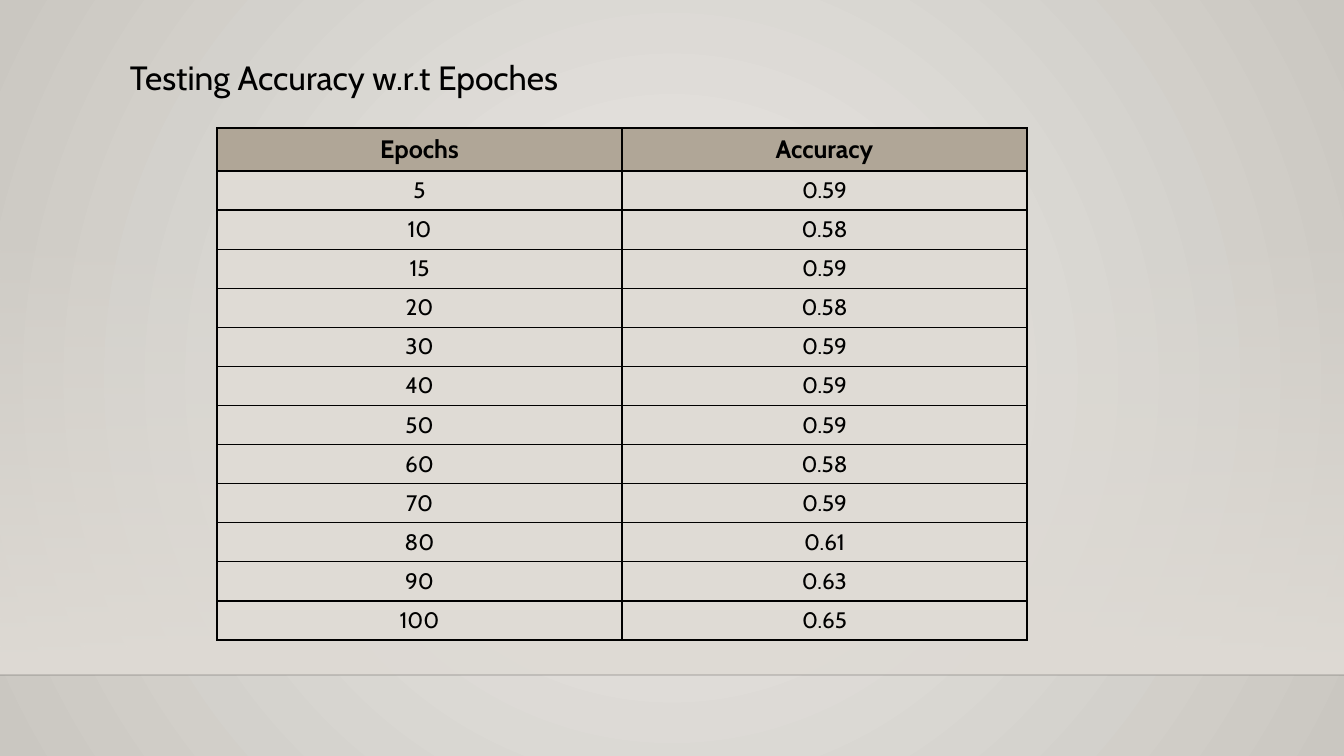
from pptx import Presentation
from pptx.dml.color import RGBColor
from pptx.enum.shapes import MSO_CONNECTOR, MSO_SHAPE
from pptx.enum.text import MSO_ANCHOR, PP_ALIGN
from pptx.oxml import parse_xml
from pptx.oxml.ns import nsdecls, qn
from pptx.oxml.xmlchemy import OxmlElement
from pptx.util import Pt

PX = 914400 / 100.8
W, H = 1344, 756
FLOOR_Y = 675
FONT = "Cabin"
STRAIGHT = MSO_CONNECTOR.STRAIGHT
RECT = MSO_SHAPE.RECTANGLE
CENTER, LEFT = PP_ALIGN.CENTER, PP_ALIGN.LEFT
TOP = MSO_ANCHOR.TOP
COLORS = {
    "bg_center": "ECEAE7",
    "bg_edge": "CAC7C1",
    "wall": "DFDBD5",
    "floor_line": "000001",
    "header": "B0A697",
    "text": "000000",
    "border": "000000",
}
ACCURACY = [
    ("Epochs", "Accuracy"),
    ("5", "0.59"), ("10", "0.58"), ("15", "0.59"), ("20", "0.58"),
    ("30", "0.59"), ("40", "0.59"), ("50", "0.59"), ("60", "0.58"),
    ("70", "0.59"), ("80", "0.61"), ("90", "0.63"), ("100", "0.65"),
]


def px(*lengths):
    return [round(n * PX) for n in lengths]


def replace_solid_with_gradient(props, stops, direction):
    """Stops are (position %, colour name, opacity %); direction is XML."""
    gs = "".join(
        f'<a:gs pos="{pos * 1000}"><a:srgbClr val="{COLORS[name]}">'
        f'<a:alpha val="{alpha * 1000}"/></a:srgbClr></a:gs>'
        for pos, name, alpha in stops)
    grad = parse_xml(f'<a:gradFill {nsdecls("a")} rotWithShape="1">'
                     f'<a:gsLst>{gs}</a:gsLst>{direction}</a:gradFill>')
    props.replace(props.find(qn("a:solidFill")), grad)


prs = Presentation()
prs.slide_width, prs.slide_height = px(W, H)
s = prs.slides.add_slide(prs.slide_layouts[6])

# Background, wall and floor line
s.background.fill.solid()
replace_solid_with_gradient(
    s.element.find(".//" + qn("p:bgPr")),
    [(0, "bg_center", 100), (100, "bg_edge", 100)],
    '<a:path path="circle"><a:fillToRect l="50000" t="50000" r="50000" b="50000"/></a:path>')

wall_h = 452
wall = s.shapes.add_shape(RECT, *px(0, FLOOR_Y - wall_h, W, wall_h))
wall.shadow.inherit = False
wall.line.fill.background()
wall.fill.solid()
replace_solid_with_gradient(
    wall.element.spPr, [(0, "wall", 0), (100, "wall", 100)],
    '<a:lin ang="5400000" scaled="0"/>')

floor = s.shapes.add_connector(STRAIGHT, *px(0, FLOOR_Y, W, FLOOR_Y))
floor.line.width = Pt(1)
floor.line.color.rgb = RGBColor.from_string(COLORS["floor_line"])
alpha = OxmlElement("a:alpha")
alpha.set("val", "20000")
floor.element.spPr.find(".//" + qn("a:srgbClr")).append(alpha)
floor.element.spPr.append(OxmlElement("a:effectLst"))

# Accuracy table
col_w, header_h, row_h = 405, 43, 39
table_h = header_h + row_h * (len(ACCURACY) - 1)
table = s.shapes.add_table(len(ACCURACY), 2, *px(217, 128, 2 * col_w, table_h)).table
table.horz_banding = False
for col in table.columns:
    col.width = px(col_w)[0]
texts = []
for i, values in enumerate(ACCURACY):
    is_header = i == 0
    table.rows[i].height = px(header_h if is_header else row_h)[0]
    for j, value in enumerate(values):
        cell = table.cell(i, j)
        inset = px(6)[0]
        for side in ("left", "right", "top", "bottom"):
            setattr(cell, f"margin_{side}", inset)
        cell.vertical_anchor = TOP
        tc_pr = cell._tc.get_or_add_tcPr()
        for edge in ("lnL", "lnR", "lnT", "lnB"):
            tc_pr.append(parse_xml(
                f'<a:{edge} {nsdecls("a")} w="12700"><a:solidFill>'
                f'<a:srgbClr val="{COLORS["border"]}"/></a:solidFill></a:{edge}>'))
        cell.fill.solid()
        cell.fill.fore_color.rgb = RGBColor.from_string(
            COLORS["header" if is_header else "wall"])
        texts.append((cell.text_frame, value, CENTER,
                      {"size": Pt(18 if is_header else 16), "bold": is_header}))

# Title
title = s.shapes.add_textbox(*px(120, 52, 489, 50))
title.text_frame.word_wrap = True
texts.append((title.text_frame, "Testing Accuracy w.r.t Epoches", LEFT,
              {"size": Pt(24), "bold": False}))

for tf, text, align, font in texts:
    p = tf.paragraphs[0]
    p.alignment = align
    r = p.add_run()
    r.text = text
    for name, value in {"name": FONT, **font}.items():
        setattr(r.font, name, value)
    r.font.color.rgb = RGBColor.from_string(COLORS["text"])

prs.save("out.pptx")
